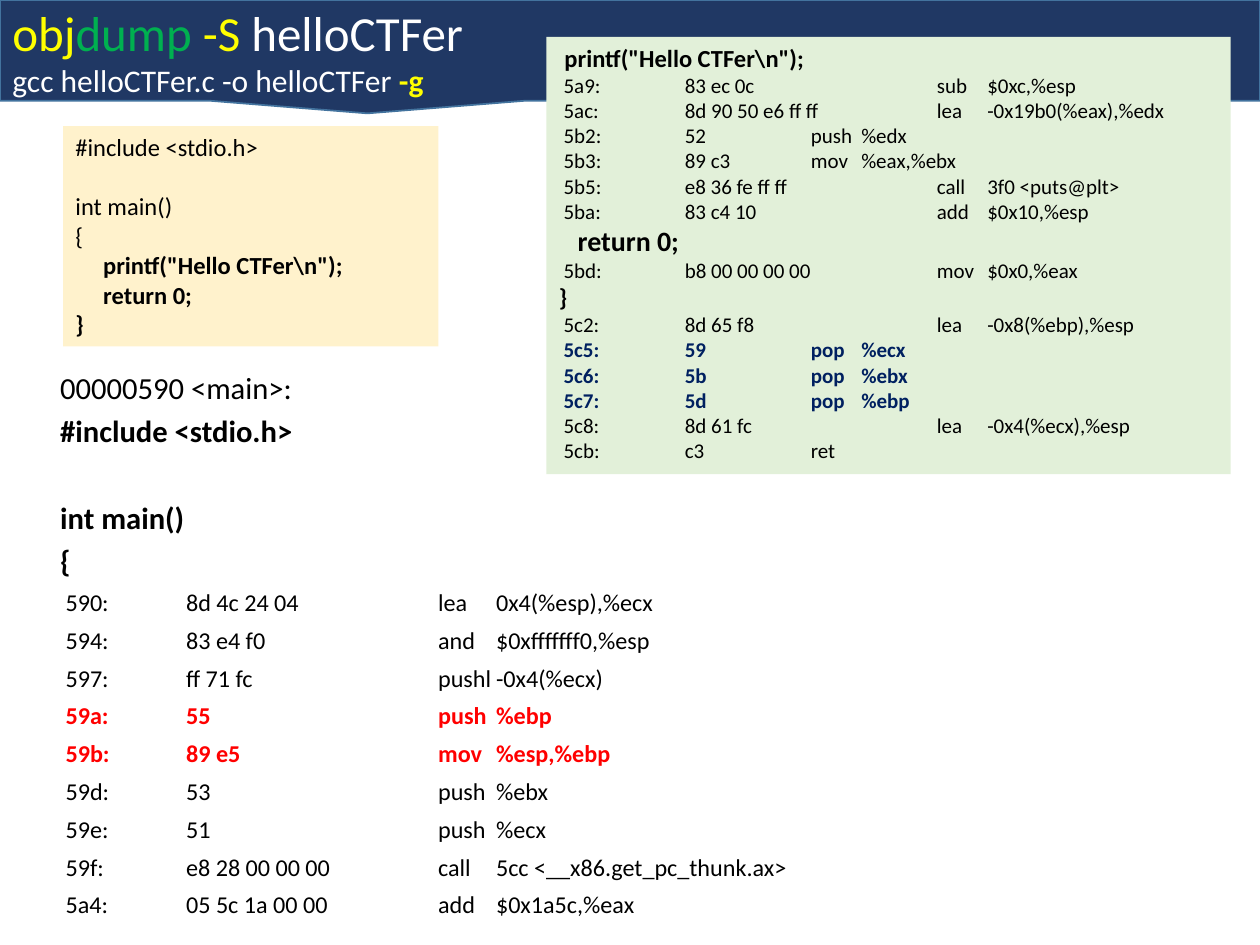
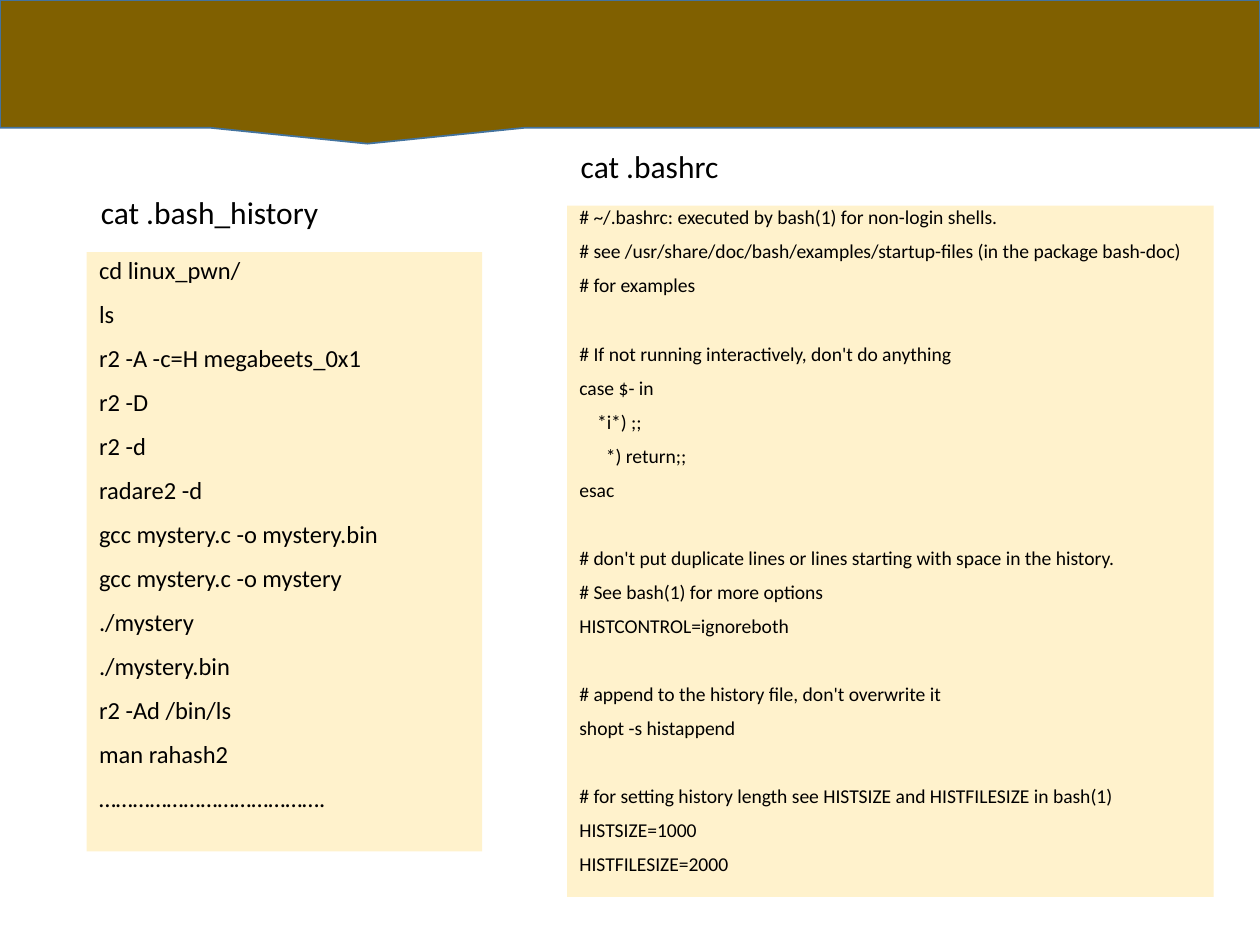
"""Build two slides on a disassembly listing and shell start-up files."""
from dataclasses import dataclass

from lxml.etree import SubElement
from pptx import Presentation
from pptx.dml.color import RGBColor
from pptx.enum.shapes import MSO_SHAPE as Preset
from pptx.enum.text import MSO_ANCHOR as Anchor, PP_ALIGN as Align
from pptx.oxml.ns import qn
from pptx.util import Pt


@dataclass(frozen=True)
class Theme:
    font: str = "Calibri"
    black: str = "000000"
    white: str = "FFFFFF"
    yellow: str = "FFFF00"
    green: str = "00B050"
    red: str = "FF0000"
    navy: str = "002060"
    title_band: str = "203864"
    files_band: str = "806000"
    band_line: str = "43739E"
    code_fill: str = "FFF2CC"
    dump_fill: str = "E2F0D9"
    title_size: float = 28
    label_size: float = 18
    source_size: float = 17.5
    return_size: float = 16
    code_size: float = 14
    main_size: float = 13.8
    dump_size: float = 12
    script_size: float = 11.2
    line_height: float = 1.22


THEME = Theme()
SLIDE_WIDTH, SLIDE_HEIGHT = 720, 540

STYLES = {
    "label": (THEME.label_size, THEME.black, False),
    "source": (THEME.source_size, THEME.black, False),
    "source bold": (THEME.source_size, THEME.black, True),
    "main": (THEME.main_size, THEME.black, False),
    "main prologue": (THEME.main_size, THEME.red, True),
    "code": (THEME.code_size, THEME.black, False),
    "code bold": (THEME.code_size, THEME.black, True),
    "return": (THEME.return_size, THEME.black, True),
    "dump": (THEME.dump_size, THEME.black, False),
    "dump epilogue": (THEME.dump_size, THEME.navy, True),
    "script": (THEME.script_size, THEME.black, False),
    "title yellow": (THEME.title_size, THEME.yellow, False),
    "title green": (THEME.title_size, THEME.green, False),
    "title white": (THEME.title_size, THEME.white, False),
    "subtitle": (THEME.label_size, THEME.white, False),
    "subtitle flag": (THEME.label_size, THEME.yellow, True),
}

TITLE = [
    [("title yellow", "obj"), ("title green", "dump "),
     ("title yellow", "-S "), ("title white", "helloCTFer")],
    [("subtitle", "gcc helloCTFer.c -o helloCTFer "), ("subtitle flag", "-g")],
]

MAIN_START = [
    ("source", "00000590 <main>:"),
    ("source bold", "#include <stdio.h>"),
    None,
    ("source bold", "int main()"),
    ("source bold", "{"),
    ("main", " 590:", "8d 4c 24 04", "lea", "0x4(%esp),%ecx"),
    ("main", " 594:", "83 e4 f0", "and", "$0xfffffff0,%esp"),
    ("main", " 597:", "ff 71 fc", "pushl", "-0x4(%ecx)"),
    ("main prologue", " 59a:", "55", "push", "%ebp"),
    ("main prologue", " 59b:", "89 e5", "mov", "%esp,%ebp"),
    ("main", " 59d:", "53", "push", "%ebx"),
    ("main", " 59e:", "51", "push", "%ecx"),
    ("main", " 59f:", "e8 28 00 00 00", "call", "5cc <__x86.get_pc_thunk.ax>"),
    ("main", " 5a4:", "05 5c 1a 00 00", "add", "$0x1a5c,%eax"),
]

MAIN_END = [
    ("code bold", ' printf("Hello CTFer\\n");'),
    ("dump", " 5a9:", "83 ec 0c", "sub", "$0xc,%esp"),
    ("dump", " 5ac:", "8d 90 50 e6 ff ff", "lea", "-0x19b0(%eax),%edx"),
    ("dump", " 5b2:", "52", "push", "%edx"),
    ("dump", " 5b3:", "89 c3", "mov", "%eax,%ebx"),
    ("dump", " 5b5:", "e8 36 fe ff ff", "call", "3f0 <puts@plt>"),
    ("dump", " 5ba:", "83 c4 10", "add", "$0x10,%esp"),
    ("return", "   return 0;"),
    ("dump", " 5bd:", "b8 00 00 00 00", "mov", "$0x0,%eax"),
    ("code bold", "}"),
    ("dump", " 5c2:", "8d 65 f8", "lea", "-0x8(%ebp),%esp"),
    ("dump epilogue", " 5c5:", "59", "pop", "%ecx"),
    ("dump epilogue", " 5c6:", "5b", "pop", "%ebx"),
    ("dump epilogue", " 5c7:", "5d", "pop", "%ebp"),
    ("dump", " 5c8:", "8d 61 fc", "lea", "-0x4(%ecx),%esp"),
    ("dump", " 5cb:", "c3", "ret"),
]

C_SOURCE = [
    ("code", "#include <stdio.h>"),
    None,
    ("code", "int main()"),
    ("code", "{"),
    ("code bold", '     printf("Hello CTFer\\n");'),
    ("code bold", "     return 0;"),
    ("code bold", "}"),
]

HISTORY = """cd linux_pwn/
ls
r2 -A -c=H megabeets_0x1
r2 -D
r2 -d
radare2 -d
gcc mystery.c -o mystery.bin
gcc mystery.c -o mystery
./mystery
./mystery.bin
r2 -Ad /bin/ls
man rahash2
…………………………………."""

BASHRC = """# ~/.bashrc: executed by bash(1) for non-login shells.
# see /usr/share/doc/bash/examples/startup-files (in the package bash-doc)
# for examples

# If not running interactively, don't do anything
case $- in
    *i*) ;;
      *) return;;
esac

# don't put duplicate lines or lines starting with space in the history.
# See bash(1) for more options
HISTCONTROL=ignoreboth

# append to the history file, don't overwrite it
shopt -s histappend

# for setting history length see HISTSIZE and HISTFILESIZE in bash(1)
HISTSIZE=1000
HISTFILESIZE=2000"""


def plain_lines(style, text):
    return [(style, line) if line else None for line in text.splitlines()]


def format_run(run, style):
    size, color, bold = STYLES[style]
    run.font.name = THEME.font
    run.font.size = Pt(size)
    run.font.bold = bold
    run.font.color.rgb = RGBColor.from_string(color)


def add_tab_stops(paragraph, positions):
    tab_list = SubElement(paragraph._p.get_or_add_pPr(), qn("a:tabLst"))
    for position in positions:
        SubElement(tab_list, qn("a:tab"), pos=str(Pt(position)), algn="l")


def add_panel(slide, box, fill=None, preset=Preset.RECTANGLE, line=None):
    lengths = [Pt(length) for length in box]
    if fill:
        shape = slide.shapes.add_shape(preset, *lengths)
        shape.shadow.inherit = False
        shape.fill.solid()
        shape.fill.fore_color.rgb = RGBColor.from_string(fill)
        if line:
            shape.line.color.rgb = RGBColor.from_string(line)
            shape.line.width = Pt(1)
        else:
            shape.line.fill.background()
    else:
        shape = slide.shapes.add_textbox(*lengths)
    shape.text_frame.word_wrap = True
    shape.text_frame.vertical_anchor = Anchor.TOP
    return shape


def add_band(slide, height, fill):
    return add_panel(slide, (0, 0, SLIDE_WIDTH, height), fill,
                     Preset.RECTANGULAR_CALLOUT, THEME.band_line)


def next_paragraph(text_frame, index):
    paragraph = text_frame.add_paragraph() if index else text_frame.paragraphs[0]
    paragraph.alignment = Align.LEFT
    return paragraph


def write_lines(shape, lines, spacing=1.0, before=0, short_bytes=0):
    index = gap = 0
    for line in lines:
        if line is None:
            gap = 1
            continue
        style, *cells = line
        size = STYLES[style][0]
        paragraph = next_paragraph(shape.text_frame, index)
        paragraph.text = "\t".join(cells)
        paragraph.line_spacing = spacing
        blank_height = size * THEME.line_height * spacing + before
        paragraph.space_before = Pt(round(before + gap * blank_height, 2) if index else 0)
        if len(cells) > 1:
            mnemonic = 144 if len(cells[1]) <= short_bytes else 216
            add_tab_stops(paragraph, (72, mnemonic, mnemonic + 2.4 * size))
        format_run(paragraph.runs[0], style)
        index, gap = index + 1, 0


def write_title(shape):
    shape.text_frame.vertical_anchor = Anchor.MIDDLE
    for index, line in enumerate(TITLE):
        paragraph = next_paragraph(shape.text_frame, index)
        for style, text in line:
            run = paragraph.add_run()
            run.text = text
            format_run(run, style)


def add_label(slide, box, text):
    label = add_panel(slide, box)
    label.text_frame.word_wrap = False
    write_lines(label, [("label", text)])
    label.text_frame.paragraphs[0].alignment = Align.CENTER


def build_disassembly(slide):
    write_lines(add_panel(slide, (27.3, 213, 446, 319)), MAIN_START, 0.7, 10)
    write_title(add_band(slide, 57.6, THEME.title_band))
    write_lines(add_panel(slide, (312.3, 21, 391, 250), THEME.dump_fill),
                MAIN_END, short_bytes=5)
    write_lines(add_panel(slide, (36, 72, 214.5, 126), THEME.code_fill), C_SOURCE)


def build_shell_files(slide):
    history = add_panel(slide, (49.5, 144, 226, 342.5), THEME.code_fill)
    write_lines(history, plain_lines("code", HISTORY), 0.9, 10)
    add_band(slide, 73, THEME.files_band)
    add_label(slide, (49.5, 106.5, 140.5, 29), "cat .bash_history")
    bashrc = add_panel(slide, (324, 117.5, 369.5, 395), THEME.code_fill)
    write_lines(bashrc, plain_lines("script", BASHRC), 0.7, 10)
    add_label(slide, (324, 80.5, 94.5, 29), "cat .bashrc")


def main():
    presentation = Presentation()
    presentation.slide_width = Pt(SLIDE_WIDTH)
    presentation.slide_height = Pt(SLIDE_HEIGHT)
    blank_layout = presentation.slide_layouts[6]
    for build in (build_disassembly, build_shell_files):
        build(presentation.slides.add_slide(blank_layout))
    presentation.save("out.pptx")


if __name__ == "__main__":
    main()
